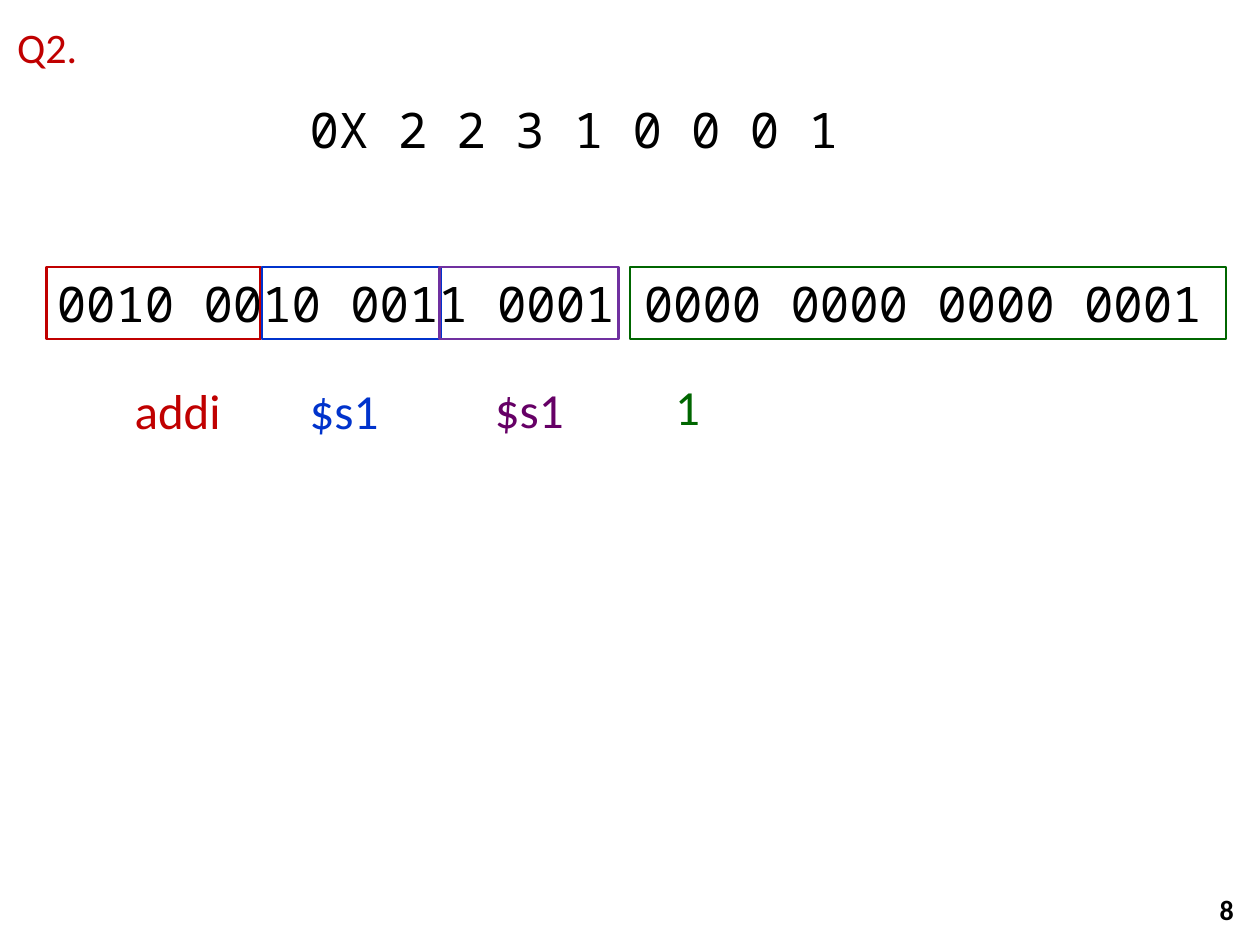
from pptx import Presentation
from pptx.util import Inches, Pt
from pptx.dml.color import RGBColor
from pptx.enum.shapes import MSO_SHAPE
from pptx.enum.text import MSO_ANCHOR, PP_ALIGN

HUES = {
    "red": "C00000",
    "blue": "0033CC",
    "violet": "7030A0",
    "plum": "660066",
    "green": "006600",
    "black": "000000",
}
MONO = "Noto Sans Mono"

deck = Presentation()
deck.slide_width, deck.slide_height = Inches(10), Inches(7.5)
slide = deck.slides.add_slide(deck.slide_layouts[6])


def add_text(text, left, top, width, height, hue, align=PP_ALIGN.LEFT, **style):
    box = slide.shapes.add_textbox(*map(Inches, (left, top, width, height)))
    frame = box.text_frame
    frame.word_wrap = True
    para = frame.paragraphs[0]
    para.alignment = align
    run = para.add_run()
    run.text = text
    look = {"name": "Calibri", "size": Pt(28), "bold": False} | style
    for key, value in look.items():
        setattr(run.font, key, value)
    run.font.color.rgb = RGBColor.from_string(HUES[hue])
    return frame


# Question number, hex word and its bits
add_text("Q2.", -0.12, 0.12, 0.99, 0.5, "red", PP_ALIGN.CENTER, size=Pt(24))
add_text("0X 2 2 3 1 0 0 0 1", 2.36, 0.74, 5.28, 0.57, "black", name=MONO)
add_text("0010 0010 0011 0001 0000 0000 0000 0001", 0.27, 2.12, 9.45, 0.57,
         "black", PP_ALIGN.CENTER, name=MONO)

# Page number
page = add_text("8", 6.89, 7.02, 3, 0.4, "black", PP_ALIGN.RIGHT,
                size=Pt(16), bold=True)
page.vertical_anchor = MSO_ANCHOR.MIDDLE

# Instruction fields: frame left, width, hue; label text, left, top, width, hue
fields = [
    (0.37, 1.7, "red", "addi", 0.97, 2.97, 0.93, "red"),
    (2.08, 1.42, "blue", "$s1", 2.36, 2.97, 0.91, "blue"),
    (3.49, 1.42, "violet", "$s1", 3.83, 2.96, 0.91, "plum"),
    (5, 4.73, "green", "1", 5.26, 2.94, 0.91, "green"),
]
for left, width, hue, label, start, top, span, ink in fields:
    field = slide.shapes.add_shape(
        MSO_SHAPE.RECTANGLE, *map(Inches, (left, 2.12, width, 0.57)))
    field.shadow.inherit = False
    field.fill.background()
    field.line.color.rgb = RGBColor.from_string(HUES[hue])
    field.line.width = Pt(1.5)
    add_text(label, start, top, span, 0.57, ink)

deck.save("out.pptx")
